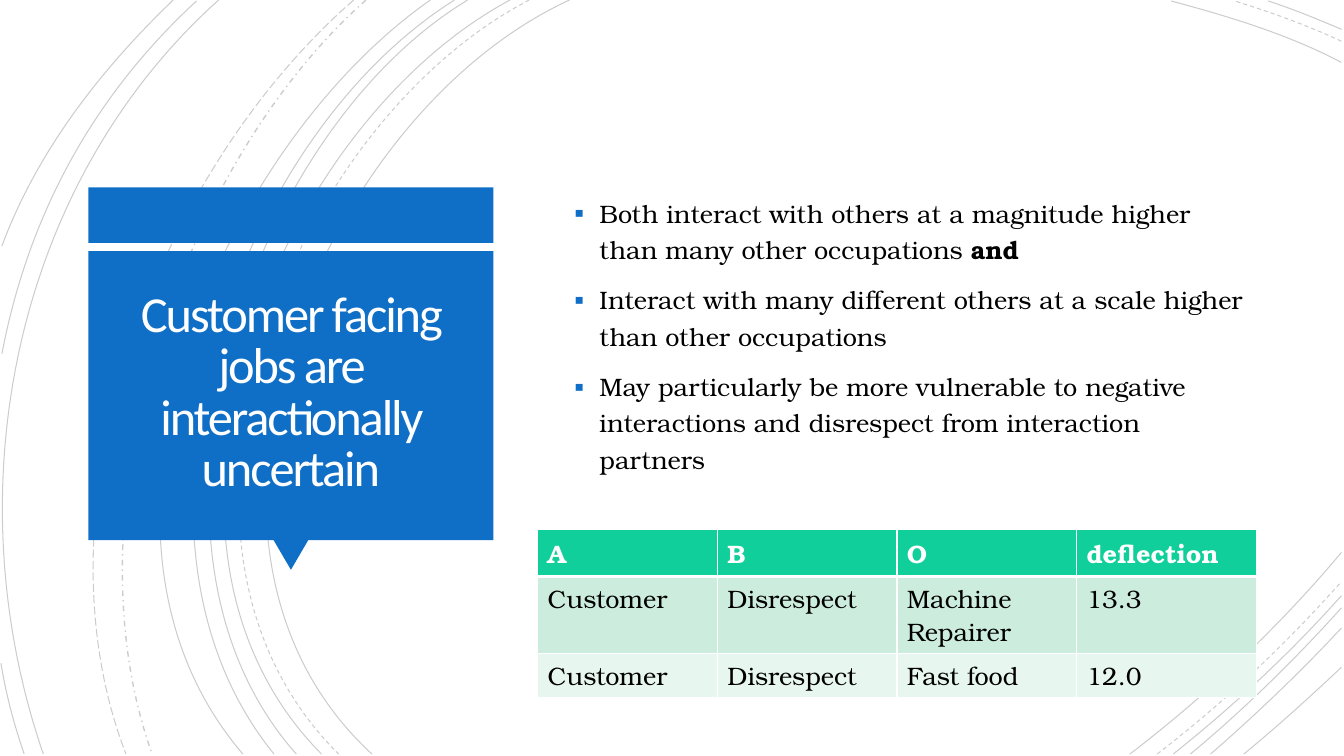
from lxml.etree import SubElement
from pptx import Presentation
from pptx.dml.color import RGBColor
from pptx.enum.dml import MSO_LINE_DASH_STYLE as DASH
from pptx.enum.shapes import MSO_SHAPE as SHAPE
from pptx.enum.text import MSO_ANCHOR as ANCHOR, MSO_AUTO_SIZE as AUTO_SIZE, PP_ALIGN as ALIGN
from pptx.oxml.ns import qn
from pptx.util import Pt

COLORS = {"blue": "0F6FC6", "title": "FFFEFF", "white": "FFFFFF", "black": "000000",
          "header": "10CF9B", "band_dark": "CCEDDE", "band_light": "E7F6EF"}
TITLE_FONT, BODY_FONT, BULLET_FONT = "Calibri", "TeX Gyre Bonum", "Arial"
BOTTOM, RIGHT = 538.6, 958.2

# Each arc is a cubic curve: start, two control points, end.
ARCS = {
    DASH.SOLID: [
        ((406.8, 0), (226.8, 82.8), (103, 388.8), (265.7, BOTTOM)),
        ((364.3, 0), (194.4, 91.4), (79.2, 386.6), (229.7, BOTTOM)),
        ((334.1, 0), (175.7, 95.8), (79.2, 389.5), (211.7, BOTTOM)),
        ((324.7, 0), (166.3, 99.4), (69.8, 383.8), (195.8, BOTTOM)),
        ((307.4, 0), (156.2, 105.8), (38.2, 380.9), (173.5, BOTTOM)),
        ((156.2, 0), (7.9, 133.2), (-33.1, 352.8), (31, BOTTOM)),
        ((140.4, 0.7), (66.2, 69.1), (20.2, 154.1), (1.4, 252.7)),
        ((123.8, 0), (72, 49.7), (26.6, 108), (1.4, 175.7)),
        ((0.7, 473.8), (4.3, 496.1), (10.1, 517.7), (17.3, BOTTOM)),
        ((RIGHT, 44.6), (920.2, 24.5), (877, 11.5), (836.6, 0.7)),
        ((RIGHT, 20.9), (941, 13.7), (923.8, 6.5), (905.8, 0.7)),
        ((807.1, BOTTOM), (861.8, 496.8), (913.7, 447.8), (RIGHT, 394.6)),
        ((838.1, BOTTOM), (880.6, 504.7), (921.6, 466.6), (RIGHT, 425.5)),
        ((850.3, BOTTOM), (888.5, 506.9), (924.5, 471.6), (RIGHT, 434.2)),
        ((864.7, BOTTOM), (897.1, 510.5), (928.8, 480.2), (RIGHT, 448.6)),
        ((888.5, BOTTOM), (912.2, 519.1), (935.3, 498.2), (RIGHT, 476.6)),
    ],
    DASH.DASH: [
        ((378, 0), (205.2, 90), (88.6, 386.6), (241.9, BOTTOM)),
        ((RIGHT, 29.5), (933.8, 18), (907.2, 8.6), (882, 0.7)),
        ((826.6, BOTTOM), (873.4, 502.6), (918, 460.8), (RIGHT, 415.4)),
    ],
    DASH.DASH_DOT: [((261.4, 0), (126.7, 119.5), (46.8, 366.5), (108.7, BOTTOM))],
    DASH.LONG_DASH: [((252.7, 0), (113, 121.7), (20.9, 359.3), (90, BOTTOM))],
}

BULLETS = [
    [("Both interact with others at a magnitude higher than many other occupations ", False),
     ("and", True)],
    [("Interact with many different others at a scale higher than other occupations", False)],
    [("May particularly be more vulnerable to negative interactions and disrespect "
      "from interaction partners", False)],
]

TABLE_ROWS = [
    ["A", "B", "O", "deflection"],
    ["Customer", "Disrespect", "Machine Repairer", "13.3"],
    ["Customer", "Disrespect", "Fast food", "12.0"],
]
ROW_FILLS = ["header", "band_dark", "band_light"]


def color(name):
    return RGBColor.from_string(COLORS[name])


def style_run(run, font_name, size, color_name, bold=False):
    run.font.name = font_name
    run.font.size = Pt(size)
    run.font.bold = bold
    run.font.color.rgb = color(color_name)


def add_curve(slide, arc):
    """Draw the control polygon and turn its three segments into one cubic curve."""
    start, *others = [(Pt(x), Pt(y)) for x, y in arc]
    builder = slide.shapes.build_freeform(*start)
    builder.add_line_segments(others, close=False)
    shape = builder.convert_to_shape()
    segments = shape.element.xpath(".//a:lnTo")
    outline = segments[0].getparent()
    curve = SubElement(outline, qn("a:cubicBezTo"))
    for segment in segments:
        curve.append(segment[0])
        outline.remove(segment)
    return shape


def add_background_arcs(slide):
    for dash, arcs in ARCS.items():
        for arc in arcs:
            shape = add_curve(slide, arc)
            shape.shadow.inherit = False
            shape.fill.background()
            shape.line.color.rgb = color("black")
            shape.line.width = Pt(1 if dash == DASH.DASH_DOT else 0.75)
            shape.line.dash_style = dash
            line_color = shape.element.xpath(".//a:ln//a:srgbClr")[0]
            SubElement(line_color, qn("a:alpha"), val="20000")


def place_placeholder(shape, left, top, width, height):
    """Move a placeholder to its box and in front of the shapes drawn so far."""
    shape.left, shape.top, shape.width, shape.height = map(Pt, (left, top, width, height))
    shape.element.getparent().append(shape.element)
    frame = shape.text_frame
    frame.word_wrap = True
    frame.auto_size = AUTO_SIZE.NONE
    frame.vertical_anchor = ANCHOR.MIDDLE
    return frame


def add_title_callout(slide, left, top, width, height):
    strip_height, gap, pointer_width, pointer_height = 39.6, 5.8, 25.2, 21.6
    panel_top = top + strip_height + gap
    panel_height = height - strip_height - gap - pointer_height
    pointer_left = left + (width - pointer_width) / 2
    parts = [
        (SHAPE.RECTANGLE, left, top, width, strip_height, 0),
        (SHAPE.ISOSCELES_TRIANGLE, pointer_left, panel_top + panel_height - 0.4,
         pointer_width, pointer_height, 180),
        (SHAPE.RECTANGLE, left, panel_top, width, panel_height, 0),
    ]
    for kind, *box, rotation in parts:
        shape = slide.shapes.add_shape(kind, *map(Pt, box))
        shape.rotation = rotation
        shape.shadow.inherit = False
        shape.fill.solid()
        shape.fill.fore_color.rgb = color("blue")
        shape.line.fill.background()

    margin = 6.5
    frame = place_placeholder(slide.shapes.title, left + margin, panel_top + 5.5,
                              width - 2 * margin, panel_height - 2 * margin)
    frame.margin_left = frame.margin_right = frame.margin_top = frame.margin_bottom = Pt(18)
    frame.text = "Customer facing jobs are interactionally uncertain"
    paragraph = frame.paragraphs[0]
    paragraph.alignment = ALIGN.CENTER
    paragraph.line_spacing = 0.85
    run = paragraph.runs[0]
    style_run(run, TITLE_FONT, 36, "title")
    run.font._element.set("spc", "-150")


def add_square_bullet(paragraph):
    properties = paragraph._p.get_or_add_pPr()
    properties.set("marL", str(Pt(18)))
    properties.set("indent", str(Pt(-18)))
    bullet_color = SubElement(properties, qn("a:buClr"))
    SubElement(bullet_color, qn("a:srgbClr"), val=COLORS["blue"])
    SubElement(properties, qn("a:buSzPct"), val="110000")
    SubElement(properties, qn("a:buFont"), typeface=BULLET_FONT)
    SubElement(properties, qn("a:buChar"), char="▪")


def add_bullet_list(slide, left, top, width, height):
    frame = place_placeholder(slide.placeholders[1], left, top, width, height)
    for index, pieces in enumerate(BULLETS):
        paragraph = frame.add_paragraph() if index else frame.paragraphs[0]
        paragraph.line_spacing = 1.2
        paragraph.space_before = Pt(10)
        add_square_bullet(paragraph)
        for text, bold in pieces:
            run = paragraph.add_run()
            run.text = text
            style_run(run, BODY_FONT, 18, "black", bold)


def set_cell_borders(cell, widths):
    properties = cell._tc.get_or_add_tcPr()
    for side, width in widths.items():
        line = SubElement(properties, qn(f"a:ln{side}"), w=str(Pt(width)))
        fill = SubElement(line, qn("a:solidFill"))
        SubElement(fill, qn("a:srgbClr"), val=COLORS["white"])


def add_deflection_table(slide, left, top, width, row_height):
    row_count, column_count = len(TABLE_ROWS), len(TABLE_ROWS[0])
    table = slide.shapes.add_table(row_count, column_count, Pt(left), Pt(top),
                                   Pt(width), Pt(row_height * row_count)).table
    for row_index, (texts, fill_name) in enumerate(zip(TABLE_ROWS, ROW_FILLS)):
        is_header = row_index == 0
        for column_index, text in enumerate(texts):
            cell = table.cell(row_index, column_index)
            set_cell_borders(cell, {"L": 1, "R": 1, "T": 3 if row_index == 1 else 1,
                                    "B": 3 if is_header else 1})
            cell.fill.solid()
            cell.fill.fore_color.rgb = color(fill_name)
            cell.text_frame.text = text
            style_run(cell.text_frame.paragraphs[0].runs[0], BODY_FONT, 18,
                      "white" if is_header else "black", is_header)


def main():
    presentation = Presentation()
    presentation.slide_width, presentation.slide_height = Pt(960), Pt(540)
    slide = presentation.slides.add_slide(presentation.slide_layouts[1])
    slide.background.fill.solid()
    slide.background.fill.fore_color.rgb = color("white")
    add_background_arcs(slide)
    add_title_callout(slide, 63.2, 133.9, 289.2, 273.5)
    add_bullet_list(slide, 403, 63, 494.6, 349.9)
    add_deflection_table(slide, 384, 378.2, 513.4, 29.5)
    presentation.save("out.pptx")


if __name__ == "__main__":
    main()
